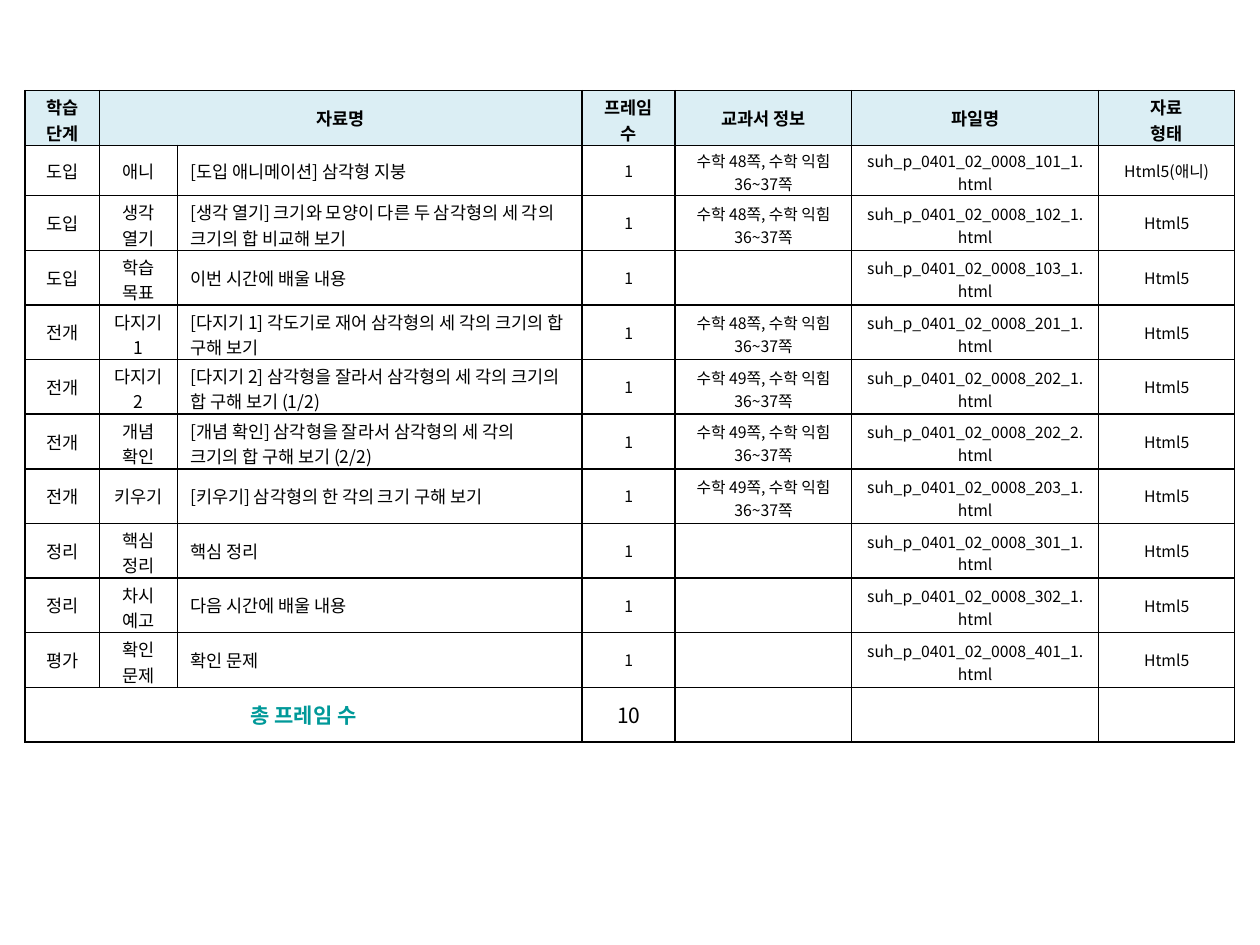
from lxml.etree import SubElement
from pptx import Presentation
from pptx.dml.color import RGBColor
from pptx.enum.text import MSO_ANCHOR, PP_ALIGN
from pptx.oxml.ns import qn
from pptx.util import Inches, Pt

FONT = "Noto Sans CJK KR"
BLACK, TEAL, PALE_BLUE = "000000", "009999", "DBEEF4"

COLUMN_WIDTHS = [0.59, 0.62, 3.21, 0.74, 1.4, 1.96, 1.08]
TABLE_HEIGHT = 5.17
FIRST_LESSON_HEIGHT = 0.4
LONGEST_TITLE_LINE = 30

HEADERS = ["학습 단계", "자료명", "", "프레임 수", "교과서 정보", "파일명", "자료\n형태"]
TWO_LINE_HEADERS = (0, 3, 6)
# Stage, kind, title, textbook page, file number
LESSONS = [
    ("도입", "애니", "[도입 애니메이션] 삼각형 지붕", 48, "101_1"),
    ("도입", "생각 열기", "[생각 열기] 크기와 모양이 다른 두 삼각형의 세 각의 크기의 합 비교해 보기", 48, "102_1"),
    ("도입", "학습 목표", "이번 시간에 배울 내용", None, "103_1"),
    ("전개", "다지기1", "[다지기 1] 각도기로 재어 삼각형의 세 각의 크기의 합 구해 보기", 48, "201_1"),
    ("전개", "다지기 2", "[다지기 2] 삼각형을 잘라서 삼각형의 세 각의 크기의 합 구해 보기 (1/2)", 49, "202_1"),
    ("전개", "개념\n확인", "[개념 확인] 삼각형을 잘라서 삼각형의 세 각의 크기의 합 구해 보기 (2/2)", 49, "202_2"),
    ("전개", "키우기", "[키우기] 삼각형의 한 각의 크기 구해 보기", 49, "203_1"),
    ("정리", "핵심 정리", "핵심 정리", None, "301_1"),
    ("정리", "차시 예고", "다음 시간에 배울 내용", None, "302_1"),
    ("평가", "확인 문제", "확인 문제", None, "401_1"),
]


def color(hex_value):
    return RGBColor.from_string(hex_value)


def write(cell, text, size=10, bold=False, text_color=BLACK,
          align=PP_ALIGN.CENTER, two_lines=False):
    """Fill a cell with text; two-line cells get tight margins to keep the row height."""
    cell.vertical_anchor = MSO_ANCHOR.MIDDLE
    if not text:
        return
    if two_lines:
        cell.margin_top, cell.margin_bottom = Inches(0.03), Inches(0)
    cell.text = text
    for paragraph in cell.text_frame.paragraphs:
        paragraph.alignment = align
        for run in paragraph.runs:
            run.font.name = FONT
            run.font.size = Pt(size)
            run.font.bold = bold
            run.font.color.rgb = color(text_color)
            east_asian = SubElement(run.font._element, qn("a:ea"))
            east_asian.set("typeface", FONT)


def draw_borders(cell, line_color=BLACK, width=1):
    properties = cell._tc.get_or_add_tcPr()
    for position, side in enumerate(("a:lnL", "a:lnR", "a:lnT", "a:lnB")):
        line = SubElement(properties, qn(side), w=str(Pt(width)))
        fill = SubElement(line, qn("a:solidFill"))
        SubElement(fill, qn("a:srgbClr"), val=line_color)
        properties.insert(position, line)


class SlideBuilder:
    def __init__(self, presentation):
        self.slide = presentation.slides.add_slide(presentation.slide_layouts[6])

    def add_table(self, left, top, widths, heights):
        """Add a table with plain cells and a full grid of borders."""
        frame = self.slide.shapes.add_table(
            len(heights), len(widths), Inches(left), Inches(top),
            Inches(sum(widths)), Inches(sum(heights)))
        table = frame.table
        table.first_row = table.horz_banding = False
        for column, width in zip(table.columns, widths):
            column.width = Inches(width)
        for row, height in zip(table.rows, heights):
            row.height = Inches(height)
        for cell in table.iter_cells():
            cell.fill.background()
            draw_borders(cell)
        return table


def fill_header(table):
    for column, text in enumerate(HEADERS):
        cell = table.cell(0, column)
        cell.fill.solid()
        cell.fill.fore_color.rgb = color(PALE_BLUE)
        write(cell, text, bold=True, two_lines=column in TWO_LINE_HEADERS)
    table.cell(0, 1).merge(table.cell(0, 2))


def fill_lessons(table):
    for row, (stage, kind, title, page, number) in enumerate(LESSONS, start=1):
        textbook = f"수학 {page}쪽, 수학 익힘 36~37쪽" if page else ""
        file_name = f"suh_p_0401_02_0008_{number}.html"
        file_type = "Html5(애니)" if kind == "애니" else "Html5"
        write(table.cell(row, 0), stage)
        write(table.cell(row, 1), kind, two_lines=len(kind) > 3)
        title_cell = table.cell(row, 2)
        title_cell.margin_right = Inches(0.13)
        write(title_cell, title, align=PP_ALIGN.LEFT,
              two_lines=len(title) > LONGEST_TITLE_LINE)
        write(table.cell(row, 3), "1", size=9)
        write(table.cell(row, 4), textbook, size=9, two_lines=True)
        write(table.cell(row, 5), file_name, size=9, two_lines=True)
        write(table.cell(row, 6), file_type, size=9)


def fill_total(table):
    row = len(LESSONS) + 1
    table.cell(row, 0).merge(table.cell(row, 2))
    write(table.cell(row, 0), "총 프레임 수", size=12, bold=True, text_color=TEAL)
    write(table.cell(row, 3), str(len(LESSONS)), size=12)


def main():
    presentation = Presentation()
    presentation.slide_width = Inches(10)
    presentation.slide_height = Inches(7.5)
    builder = SlideBuilder(presentation)

    row_height = (TABLE_HEIGHT - FIRST_LESSON_HEIGHT) / (len(LESSONS) + 1)
    heights = [row_height, FIRST_LESSON_HEIGHT] + [row_height] * len(LESSONS)
    table = builder.add_table(0.2, 0.72, COLUMN_WIDTHS, heights)
    fill_header(table)
    fill_lessons(table)
    fill_total(table)
    presentation.save("out.pptx")


if __name__ == "__main__":
    main()
